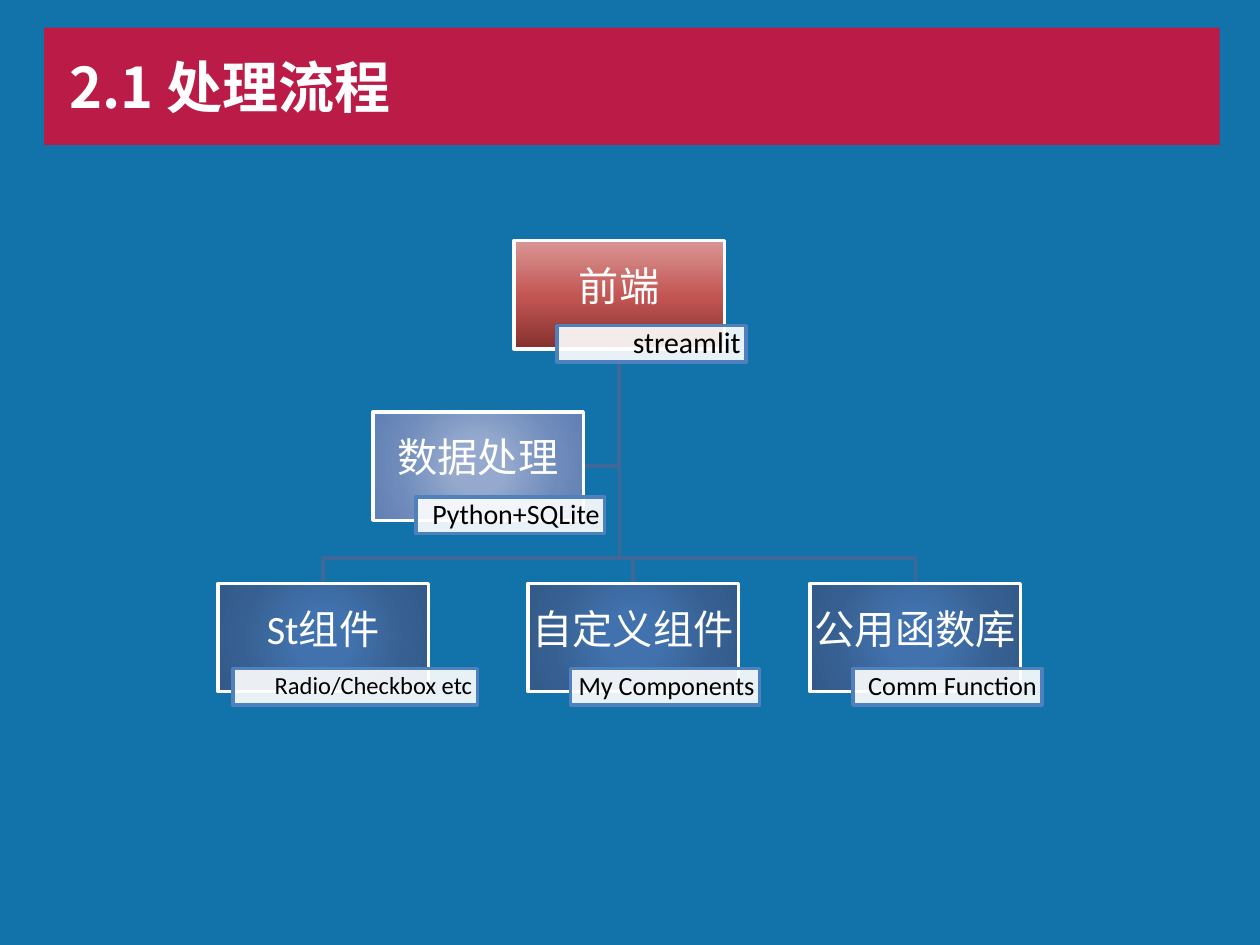
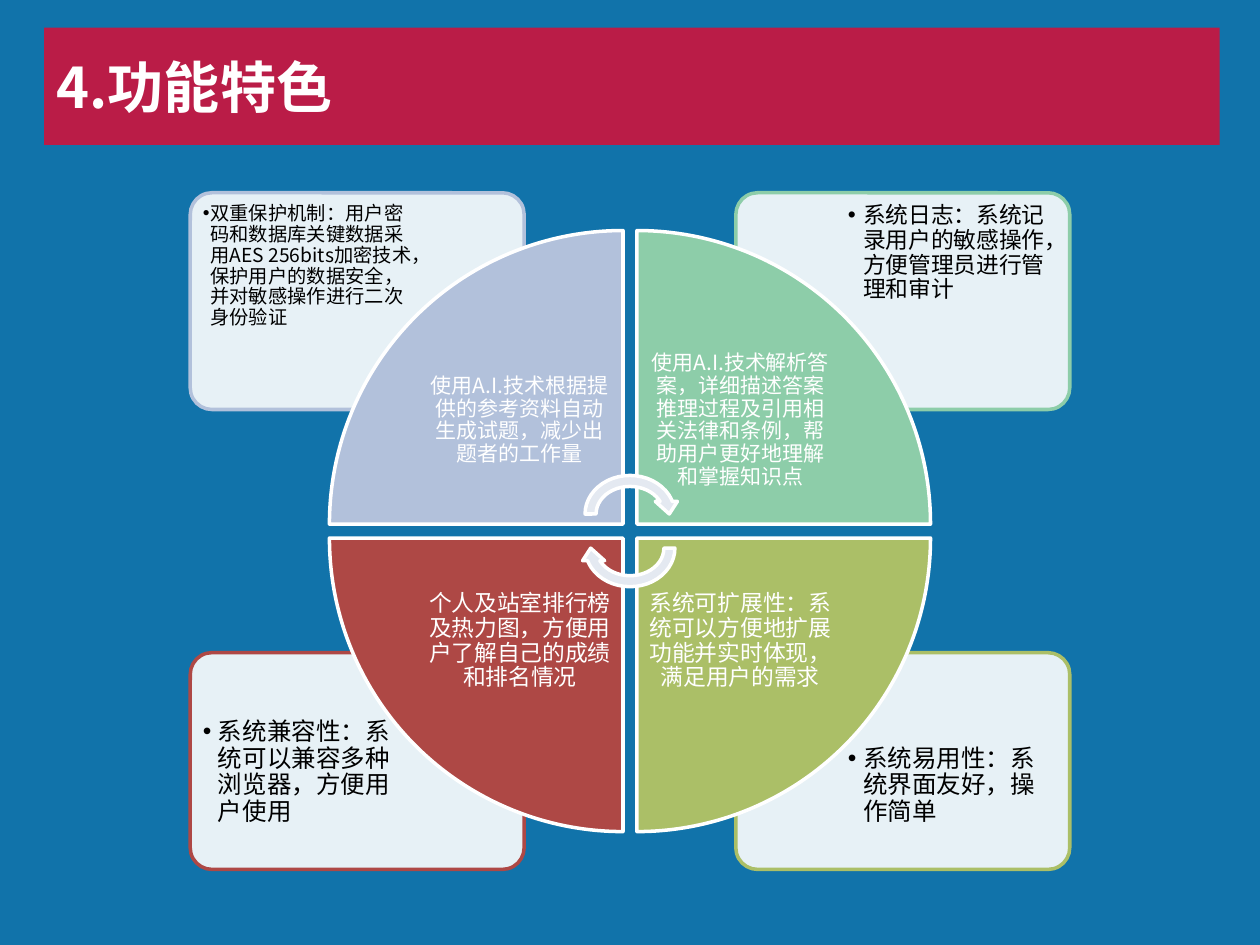
from dataclasses import dataclass

from lxml.etree import SubElement
from pptx import Presentation
from pptx.dml.color import RGBColor
from pptx.enum.shapes import MSO_SHAPE
from pptx.enum.text import MSO_ANCHOR, MSO_AUTO_SIZE, PP_ALIGN
from pptx.oxml.ns import qn
from pptx.util import Inches, Pt

COLUMNS, ROWS = 100, 75
WIDTH, HEIGHT = Inches(10), Inches(7.5)
CJK_FONT, LATIN_FONT = "Noto Sans CJK SC", "Calibri"
COLOURS = {
    "page": "1173AA",
    "band": "BA1C47",
    "white": "FFFFFF",
    "black": "000000",
    "branch": "3F6797",
    "tag": "4F81BD",
    "mist": "B2C1DB",
    "mint": "8DCDA9",
    "brick": "AE4845",
    "olive": "ABBF67",
    "arrow": "E4E9F1",
}
GRADIENTS = {
    "front": [(0, "85312F"), (48, "C25552"), (100, "D99694")],
    "data": [(0, "94A9CD"), (23, "94A9CD"), (69, "6E8BBB"), (97, "6180B5")],
    "leaf": [(0, "4172AD"), (23, "4172AD"), (69, "376092"), (97, "335A88")],
}


@dataclass
class Box:
    column: float
    row: float
    columns: float
    rows: float

    def inside(self, column, row, columns, rows):
        return Box(self.column + column, self.row + row, columns, rows)

    def point(self, column, row):
        return (round((self.column + column) * WIDTH / COLUMNS),
                round((self.row + row) * HEIGHT / ROWS))

    def frame(self):
        left, top = self.point(0, 0)
        right, bottom = self.point(self.columns, self.rows)
        return left, top, right - left, bottom - top

    def corner(self, side, level, columns, rows, inset=0):
        return self.inside(self.columns - inset - columns if side else inset,
                           self.rows - inset - rows if level else inset, columns, rows)

    def around_centre(self, side, level, size, gap):
        shift = gap / 2
        return self.inside(self.columns / 2 + (shift if side else -shift - size),
                           self.rows / 2 + (shift if level else -shift - size), size, size)


TITLE_BAND = Box(3.5, 2.2, 93.3, 9.3)
FLOW_BOX = Box(17.3, 19.1, 65.3, 36.9)
CYCLE_BOX = Box(15.1, 15.3, 69.8, 53.7)


def colour(name):
    return RGBColor.from_string(COLOURS[name])


def paint(shape, fill, line, opacity=100):
    shape.shadow.inherit = False
    shape.fill.solid()
    shape.fill.fore_color.rgb = colour(fill)
    shape.line.color.rgb = colour(line)
    shape.line.width = Pt(2)
    if opacity < 100:
        tint = shape.element.spPr.find(qn("a:solidFill"))[0]
        SubElement(tint, qn("a:alpha"), val=str(opacity * 1000))


def paint_gradient(shape, stops, radial):
    shape.fill.gradient()
    gradient = shape.element.spPr.find(qn("a:gradFill"))
    gradient.clear()
    gradient.set("rotWithShape", "1")
    stop_list = SubElement(gradient, qn("a:gsLst"))
    for position, value in stops:
        stop = SubElement(stop_list, qn("a:gs"), pos=str(position * 1000))
        SubElement(stop, qn("a:srgbClr"), val=value)
    if radial:
        circle = SubElement(gradient, qn("a:path"), path="circle")
        SubElement(circle, qn("a:fillToRect"), l="50000", t="50000", r="50000", b="50000")
    else:
        SubElement(gradient, qn("a:lin"), ang="16200000", scaled="0")


def add_shape(page, kind, box):
    return page.shapes.add_shape(kind, *box.frame())


def place(shape, box):
    shape.left, shape.top, shape.width, shape.height = box.frame()


def write(shape, text, size, ink, font=CJK_FONT, align=PP_ALIGN.CENTER, bold=False,
          insets=(0.1, 0.05, 0.1, 0.05), anchor=MSO_ANCHOR.MIDDLE, spacing=0.9, hanging=0):
    frame = shape.text_frame
    frame.word_wrap = True
    frame.auto_size = MSO_AUTO_SIZE.NONE
    frame.vertical_anchor = anchor
    (frame.margin_left, frame.margin_top,
     frame.margin_right, frame.margin_bottom) = map(Inches, insets)
    para = frame.paragraphs[0]
    para.alignment = align
    para.line_spacing = spacing
    para.space_before = Pt(0)
    if hanging:
        properties = para._p.get_or_add_pPr()
        properties.set("marL", str(Inches(hanging)))
        properties.set("indent", str(-Inches(hanging)))
        SubElement(properties, qn("a:buFont"), typeface="Arial")
        SubElement(properties, qn("a:buChar"), char="•")
    span = para.add_run()
    span.text = text
    span.font.size = Pt(size)
    span.font.bold = bold
    span.font.color.rgb = colour(ink)
    span.font.name = font
    SubElement(span.font._element, qn("a:ea"), typeface=CJK_FONT)


def start_page(deck, layout, title, indent):
    page = deck.slides.add_slide(deck.slide_layouts.get_by_name(layout))
    band = page.shapes.title
    place(band, TITLE_BAND)
    band.fill.solid()
    band.fill.fore_color.rgb = colour("band")
    write(band, title, 32, "white", align=PP_ALIGN.LEFT, bold=True,
          insets=(indent, 0.05, 0.1, 0.05), spacing=1)
    return page


def add_branch(page, box, *stops):
    first, *rest = [box.point(*stop) for stop in stops]
    builder = page.shapes.build_freeform(*first)
    builder.add_line_segments(rest, close=False)
    branch = builder.convert_to_shape()
    branch.shadow.inherit = False
    branch.fill.background()
    branch.line.color.rgb = colour("branch")
    branch.line.width = Pt(2)


def add_node(page, box, label, tag_text, tag_size, gradient, tag_shift, tag_columns):
    card = add_shape(page, MSO_SHAPE.RECTANGLE, box)
    paint(card, "white", "white")
    paint_gradient(card, GRADIENTS[gradient], radial=gradient != "front")
    write(card, label, 23, "white", LATIN_FONT, insets=(0.02, 0.02, 0.02, 0.12))
    tag = add_shape(page, MSO_SHAPE.RECTANGLE, box.inside(tag_shift, 6.75, tag_columns, 2.9))
    paint(tag, "white", "tag", opacity=90)
    write(tag, tag_text, tag_size, "black", LATIN_FONT, PP_ALIGN.RIGHT,
          insets=(0.04, 0.01, 0.04, 0.01))


def add_flow(page, box):
    card_columns, card_rows, level_step, bus_row = 16.7, 8.6, 13.6, 25.2
    nodes = [
        (23.5, 0, "前端", "streamlit", 17, "front", 3.4, 15),
        (0, 2, "St组件", "Radio/Checkbox etc", 14, "leaf", 1.2, 19.4),
        (24.6, 2, "自定义组件", "My Components", 15, "leaf", 3.4, 15),
        (47, 2, "公用函数库", "Comm Function", 15, "leaf", 3.4, 15),
        (12.3, 1, "数据处理", "Python+SQLite", 16, "data", 3.4, 15),
    ]
    trunk = nodes[0][0] + card_columns / 2
    for column, level, *_ in nodes[1:]:
        row = level * level_step
        if level == 1:
            middle = row + card_rows / 2
            stops = [(trunk, middle), (column + card_columns, middle)]
        else:
            centre = column + card_columns / 2
            stops = [(trunk, bus_row), (centre, bus_row), (centre, row)]
        add_branch(page, box, (trunk, card_rows), *stops)
    for column, level, *details in nodes:
        add_node(page, box.inside(column, level * level_step, card_columns, card_rows), *details)


def add_cycle(page, box):
    gap = 1.1
    quadrants = [
        (0, 0, "mist", 0, 12, "使用A.I.技术根据提供的参考资料自动生成试题，减少出题者的工作量",
         11, 0.06, 0.05,
         "双重保护机制：用户密码和数据库关键数据采用AES 256bits加密技术，保护用户的数据安全，并对敏感操作进行二次身份验证"),
        (1, 0, "mint", 90, 12,
         "使用A.I.技术解析答案，详细描述答案推理过程及引用相关法律和条例，帮助用户更好地理解和掌握知识点",
         13, 0.12, 0.05, "系统日志：系统记录用户的敏感操作，方便管理员进行管理和审计"),
        (0, 1, "brick", 270, 13, "个人及站室排行榜及热力图，方便用户了解自己的成绩和排名情况",
         14, 0.12, 0.06, "系统兼容性：系统可以兼容多种浏览器，方便用户使用"),
        (1, 1, "olive", 180, 13, "系统可扩展性：系统可以方便地扩展功能并实时体现，满足用户的需求",
         14, 0.12, 0.27, "系统易用性：系统界面友好，操作简单"),
    ]
    lists = [holder for holder in page.placeholders if holder.placeholder_format.idx > 0]
    for side, level, tone, *_ in quadrants:
        card = add_shape(page, MSO_SHAPE.ROUNDED_RECTANGLE, box.corner(side, level, 26.5, 17.2))
        card.adjustments[0] = 0.1
        paint(card, "white", tone, opacity=90)
    for holder, quadrant in zip(lists, quadrants):
        side, level, tone, turn, size, text, list_size, hanging, top, list_text = quadrant
        page.shapes.element.append(holder.element)
        place(holder, box.corner(side, level, 17.8, 12.1, inset=0.4))
        write(holder, list_text, list_size, "black", align=PP_ALIGN.LEFT,
              insets=(0.06, top, 0.06, 0.05), anchor=MSO_ANCHOR.TOP, hanging=hanging)
        wedge = add_shape(page, MSO_SHAPE.PIE_WEDGE, box.around_centre(side, level, 23.3, gap))
        wedge.rotation = turn
        paint(wedge, tone, "white")
        label = page.shapes.add_textbox(*box.around_centre(side, level, 16.4, gap).frame())
        write(label, text, size, "white", insets=(0.1, 0.1, 0.1, 0.1))
    for turn, shift in ((0, -1.35), (180, 1.35)):
        arrow = add_shape(page, MSO_SHAPE.CIRCULAR_ARROW,
                          box.inside(box.columns / 2 - 4, box.rows / 2 - 3.5 + shift, 8, 7))
        arrow.rotation = turn
        paint(arrow, "arrow", "white")


def main():
    deck = Presentation()
    deck.slide_width, deck.slide_height = WIDTH, HEIGHT
    backdrop = deck.slide_master.background.fill
    backdrop.solid()
    backdrop.fore_color.rgb = colour("page")
    add_flow(start_page(deck, "Title Only", "2.1 处理流程", 0.2), FLOW_BOX)
    add_cycle(start_page(deck, "Comparison", "4.功能特色", 0.1), CYCLE_BOX)
    deck.save("out.pptx")


if __name__ == "__main__":
    main()
